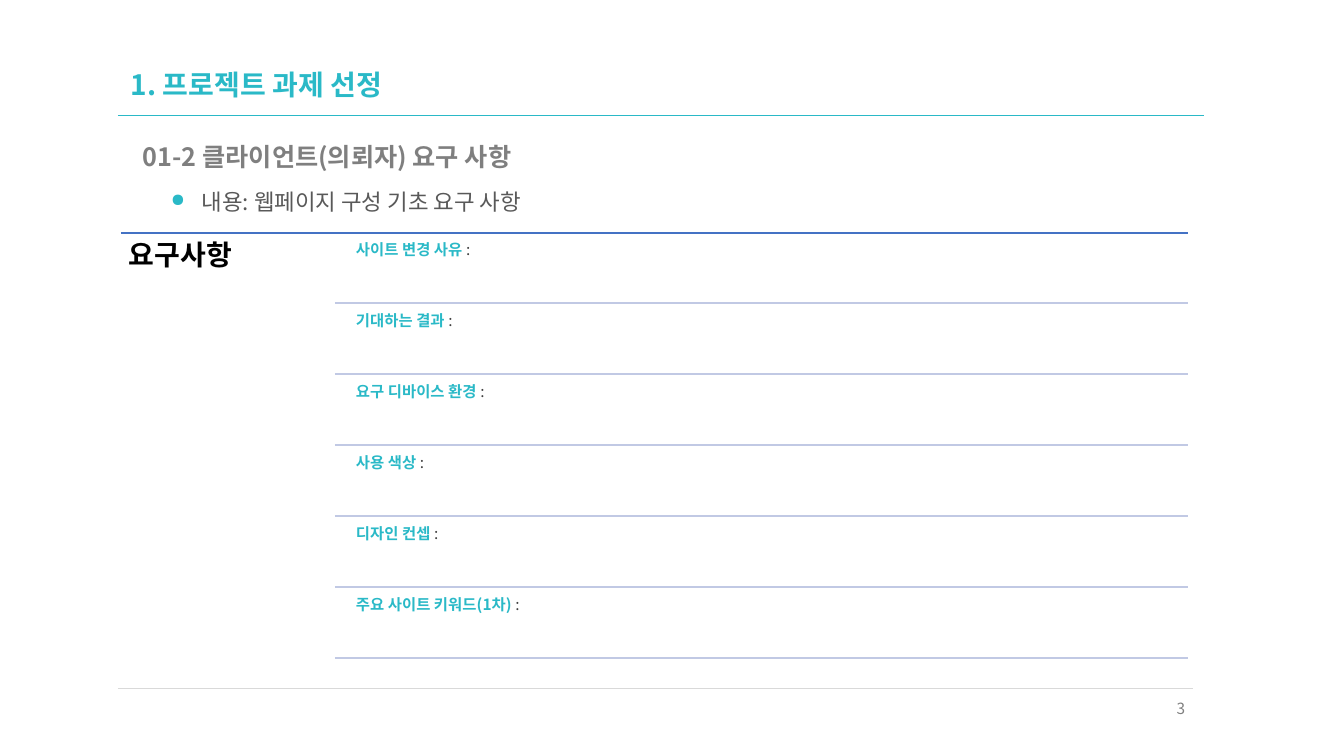
from lxml import etree
from pptx import Presentation
from pptx import util as u
from pptx.dml.color import RGBColor
from pptx.enum import shapes, text
from pptx.oxml.ns import qn

PX = 914400 / 100.8
FONT = "Noto Sans CJK KR"
COLORS = {
    "teal": "2AB9C7", "black": "000000", "heading": "7F7F7F",
    "body": "595959", "colon": "404040", "number": "808080",
    "footer": "D9D9D9", "blue": "4472C4", "lilac": "C1C9E4",
}

prs = Presentation()
prs.slide_width, prs.slide_height = u.Emu(int(1344 * PX)), u.Emu(int(756 * PX))
s = prs.slides.add_slide(prs.slide_layouts[6])


def add_rule(x1, x2, y, color, width):
    ends = [u.Emu(round(v * PX)) for v in (x1, y, x2, y)]
    sp = s.shapes.add_connector(shapes.MSO_CONNECTOR.STRAIGHT, *ends)
    sp.line.color.rgb = RGBColor.from_string(COLORS[color])
    sp.line.width = u.Pt(width)
    etree.SubElement(sp._element.spPr, qn("a:effectLst"))


def add_text(box, runs, size, inset=None, para=None, anchor=text.MSO_ANCHOR.TOP):
    """Add a one-paragraph text box; runs are (text, color, bold)."""
    sp = s.shapes.add_textbox(*[u.Emu(round(v * PX)) for v in box])
    tf = sp.text_frame
    tf.word_wrap = True
    tf.vertical_anchor = anchor
    if inset is not None:
        for side in ("left", "top", "right", "bottom"):
            setattr(tf, f"margin_{side}", u.Emu(round(inset * PX)))
    p = tf.paragraphs[0]
    for name, value in (para or {}).items():
        setattr(p, name, value)
    for words, color, bold in runs:
        r = p.add_run()
        r.text = words
        for name, value in {"name": FONT, "size": u.Pt(size), "bold": bold}.items():
            setattr(r.font, name, value)
        r.font.color.rgb = RGBColor.from_string(COLORS[color])
        etree.SubElement(r._r.get_or_add_rPr(), qn("a:ea"), typeface=FONT)
    return p


# Header and footer rules
add_rule(118, 1204, 115, "teal", 0.5)
add_rule(118, 1193, 688, "footer", 0.5)

# Title, heading and bullet line
tight = {"line_spacing": 0.9}
spaced = {"line_spacing": 0.9, "space_before": u.Pt(10)}
add_text((121, 62, 1087, 49), [("1. 프로젝트 과제 선정", "teal", True)], 20,
         para=tight, anchor=text.MSO_ANCHOR.MIDDLE)
add_text((133, 140, 1075, 34), [("01-2 클라이언트(의뢰자) 요구 사항", "heading", True)], 18,
         para=spaced)
p = add_text((161, 186, 1046, 34), [("내용: 웹페이지 구성 기초 요구 사항", "body", False)], 16,
             para=spaced)
pPr = p._p.get_or_add_pPr()
indent = round(31 * PX)
pPr.set("marL", str(indent))
pPr.set("indent", str(-indent))
bullet_color = etree.SubElement(pPr, qn("a:buClr"))
etree.SubElement(bullet_color, qn("a:srgbClr"), val=COLORS["teal"])
etree.SubElement(pPr, qn("a:buSzPct"), val="80000")
etree.SubElement(pPr, qn("a:buChar"), char="●")

# Requirements list
add_rule(121, 1188, 233, "blue", 1)
add_text((121, 233, 214, 431), [("요구사항", "black", True)], 20, inset=8,
         para={**tight, "space_after": u.Pt(7)})
requirements = ["사이트 변경 사유", "기대하는 결과", "요구 디바이스 환경",
                "사용 색상", "디자인 컨셉", "주요 사이트 키워드(1차)"]
ROW = 71
for i, label in enumerate(requirements):
    add_text((351, 237 + i * ROW, 838, 67),
             [(label + " ", "teal", True), (":", "colon", False)], 11, inset=5,
             para={**tight, "space_after": u.Pt(4)})
    add_rule(335, 1188, 303 + i * ROW, "lilac", 1)

# Page number
add_text((1136, 694, 59, 40), [("3", "number", False)], 11,
         para={"alignment": text.PP_ALIGN.RIGHT})

prs.save("out.pptx")
